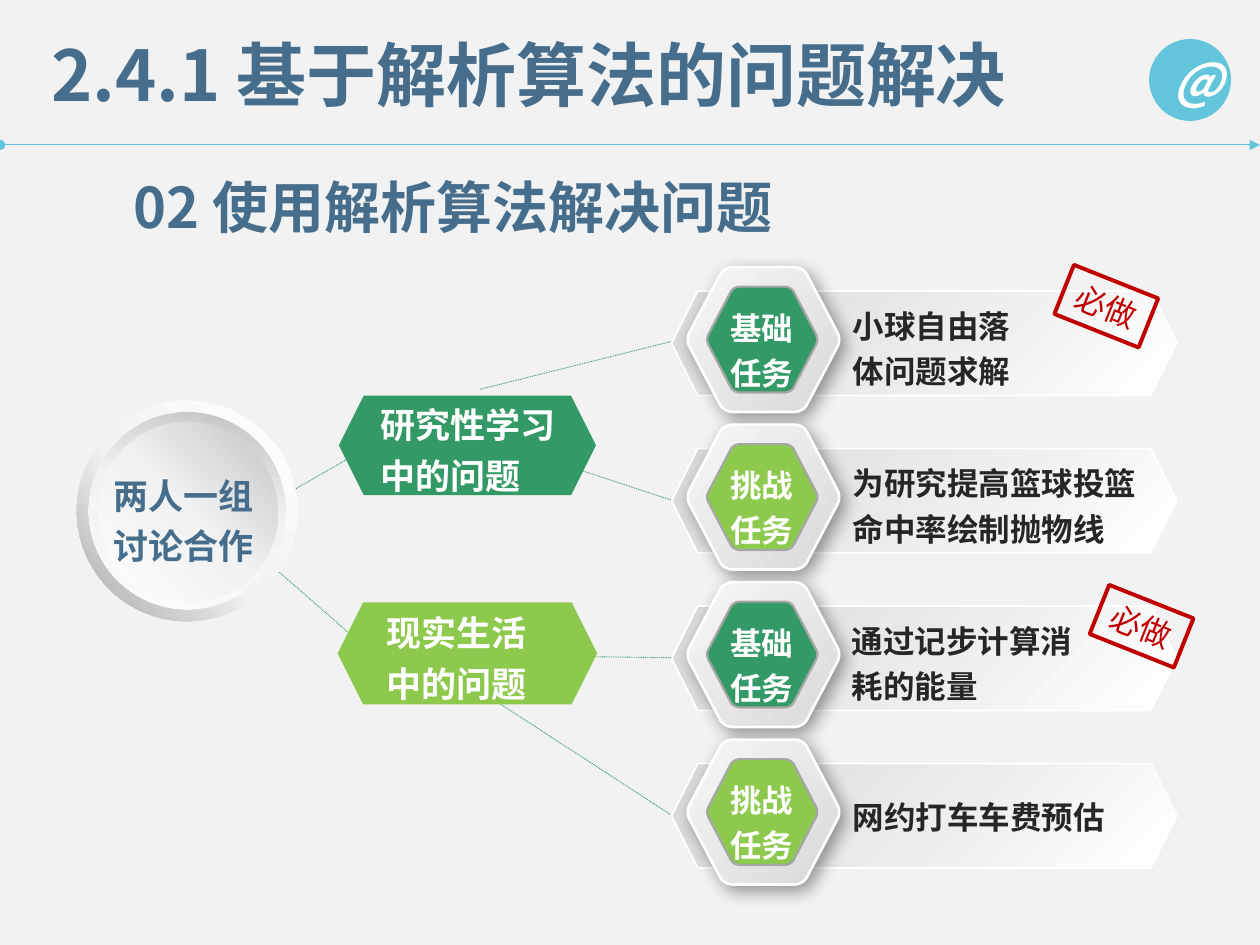
from dataclasses import dataclass

from lxml import etree
from pptx import Presentation, util as u
from pptx.dml.color import RGBColor
from pptx.enum import dml, shapes, text
from pptx.oxml import ns


@dataclass(frozen=True)
class Theme:
    page: str = "F2F2F2"
    sky: str = "62C5DC"
    slate: str = "466E8C"
    green: str = "339966"
    lime: str = "8CC94C"
    ink: str = "262626"
    white: str = "FFFFFF"
    rim: str = "A6A6A6"
    stamp: str = "C00000"
    font: str = "Noto Sans CJK SC"
    stamp_font: str = "Calibri"
    title: int = 40
    subtitle: int = 32
    icon: int = 28
    group: int = 20
    label: int = 18


T = Theme()
SHAPE = shapes.MSO_SHAPE
ALIGN = text.PP_ALIGN
ANCHOR = text.MSO_ANCHOR
ROW_TOP, ROW_STEP, BAR_H = 2.31, 1.25, 0.83
RING = ((0, "FFFFFF"), (55, "F2F2F2"), (100, "A6A6A6"))
DISC = ((0, "FFFFFF"), (51, "F2F2F2"), (100, "BFBFBF"))
BAR = ((0, "FFFFFF"), (100, "D9D9D9"))
BADGE = ((0, "F7F7F7"), (100, "D9D9D9"))


def rgb(value):
    return RGBColor.from_string(value)


def apply(target, values):
    for name, value in values.items():
        setattr(target, name, value)


def child(parent, tag, **attrs):
    return etree.SubElement(parent, ns.qn("a:" + tag), {k: str(v) for k, v in attrs.items()})


def gradient(sp, stops, angle):
    sp.fill.gradient()
    grad = sp._element.spPr.find(ns.qn("a:gradFill"))
    grad.set("rotWithShape", "1")
    for old in list(grad):
        grad.remove(old)
    gs_list = child(grad, "gsLst")
    for pos, color in stops:
        child(child(gs_list, "gs", pos=pos * 1000), "srgbClr", val=color)
    child(grad, "lin", ang=angle * 60000, scaled=0)


def paint(sp, fill=None, line=None, width=1.0):
    """Fill with a colour, with (stops, angle), or not at all; then outline."""
    sp.shadow.inherit = False
    if fill is None:
        sp.fill.background()
    elif isinstance(fill, str):
        sp.fill.solid()
        sp.fill.fore_color.rgb = rgb(fill)
    else:
        gradient(sp, *fill)
    if line:
        sp.line.color.rgb = rgb(line)
        sp.line.width = u.Pt(width)
    else:
        sp.line.fill.background()


def write(sp, lines, size, color, align=ALIGN.LEFT, spacing=1.0, bold=True,
          italic=False, font=T.font, **frame):
    tf = sp.text_frame
    apply(tf, {"word_wrap": True, "vertical_anchor": ANCHOR.TOP, **frame})
    for i, line in enumerate(lines):
        p = tf.add_paragraph() if i else tf.paragraphs[0]
        apply(p, {"alignment": align, "line_spacing": spacing})
        r = p.add_run()
        r.text = line
        apply(r.font, {"name": font, "size": u.Pt(size), "bold": bold, "italic": italic})
        r.font.color.rgb = rgb(color)
        child(r._r.get_or_add_rPr(), "ea", typeface=font)


def add_shape(s, kind, box, fill=None, line=None, width=1.0, adj=None, turn=0):
    sp = s.shapes.add_shape(kind, *map(u.Inches, box))
    if adj is not None:
        sp.adjustments[0] = adj
    sp.rotation = turn
    paint(sp, fill, line, width)
    return sp


def add_text(s, box, lines, size, color, **fmt):
    sp = s.shapes.add_textbox(*map(u.Inches, box))
    write(sp, lines, size, color, **fmt)


def add_line(s, start, end, color):
    c = s.shapes.add_connector(shapes.MSO_CONNECTOR.STRAIGHT, *map(u.Inches, start + end))
    c.line.color.rgb = rgb(color)
    c.line.width = u.Pt(0.5)
    child(c._element.spPr, "effectLst")
    return c


def bezier(points, steps=6):
    for i in range(steps + 1):
        t = i / steps
        weights = ((1 - t) ** 3, 3 * t * (1 - t) ** 2, 3 * t * t * (1 - t), t ** 3)
        yield tuple(sum(w * p[k] for w, p in zip(weights, points)) for k in (0, 1))


def rounded_hexagon(s, cx, cy, w, h):
    corner = list(bezier(((0.4, -1), (0.47, -1), (0.54, -0.96), (0.57, -0.9))))
    tip = list(bezier(((0.97, -0.1), (1, -0.05), (1, 0.05), (0.97, 0.1))))
    right = corner + tip + [(x, -y) for x, y in reversed(corner)]
    outline = right + [(-x, -y) for x, y in right]
    points = [(u.Inches(cx + x * w / 2), u.Inches(cy + y * h / 2)) for x, y in outline]
    builder = s.shapes.build_freeform(*points[0])
    builder.add_line_segments(points[1:], close=True)
    return builder.convert_to_shape()


def add_shadow(sp):
    effects = sp._element.spPr.find(ns.qn("a:effectLst"))
    shadow = child(effects, "outerShdw", blurRad=u.Pt(10), dist=u.Pt(4),
                   dir=45 * 60000, algn="tl", rotWithShape=0)
    child(child(shadow, "srgbClr", val="000000"), "alpha", val=40000)


def add_task(s, row, level, color, left, width, label, spacing):
    top = ROW_TOP + row * ROW_STEP
    cy = top + BAR_H / 2 - 0.03
    add_shape(s, SHAPE.HEXAGON, (5.33, top, 4.01, BAR_H), (BAR, 225), T.white)
    outer = rounded_hexagon(s, 6.06, cy, 1.21, 1.15)
    paint(outer, (BADGE, 45), T.white, 1.5)
    add_shadow(outer)
    paint(rounded_hexagon(s, 6.05, cy, 0.88, 0.84), color, T.rim, 1.25)
    add_text(s, (5.69, top + 0.03, 0.71, 0.83), (level, "任务"), T.label, T.white,
             align=ALIGN.CENTER, spacing=1.2, word_wrap=False)
    sp = add_shape(s, SHAPE.RECTANGLE, (left, top + 0.13, width, 0.59))
    side, edge = u.Inches(0.07), u.Inches(0.04)
    write(sp, (label,), T.label, T.ink, spacing=spacing, vertical_anchor=ANCHOR.MIDDLE,
          margin_left=side, margin_right=side, margin_top=edge, margin_bottom=edge)


def add_stamp(s, left, top):
    sp = add_shape(s, SHAPE.RECTANGLE, (left, top, 0.72, 0.42), None, T.stamp, 2.25, turn=21.7)
    write(sp, ("必做",), T.label, T.stamp, align=ALIGN.CENTER, bold=False,
          font=T.stamp_font, vertical_anchor=ANCHOR.MIDDLE)


def add_header(s):
    rule = add_line(s, (0, 1.15), (10, 1.15), T.sky)
    ln = rule.line._get_or_add_ln()
    child(ln, "headEnd", type="oval")
    child(ln, "tailEnd", type="triangle")
    icon = add_shape(s, SHAPE.OVAL, (9.12, 0.31, 0.65, 0.65), T.sky)
    write(icon, ("@",), T.icon, T.white, align=ALIGN.CENTER, italic=True,
          vertical_anchor=ANCHOR.MIDDLE)
    title = s.shapes.title
    apply(title, dict(zip(("left", "top", "width", "height"),
                          map(u.Inches, (0.31, 0.2, 8.36, 0.77)))))
    write(title, ("2.4.1 基于解析算法的问题解决",), T.title, T.slate)
    add_text(s, (0.96, 1.32, 5.39, 0.64), ("02 使用解析算法解决问题",),
             T.subtitle, T.slate, word_wrap=False)


def add_hub(s):
    add_shape(s, SHAPE.DONUT, (0.61, 3.22, 1.67, 1.67), (RING, 135), adj=0.05)
    add_shape(s, SHAPE.OVAL, (0.65, 3.26, 1.59, 1.59), (DISC, 315))
    add_shape(s, SHAPE.DONUT, (0.7, 3.26, 1.59, 1.61), (RING, 135), adj=0.05, turn=150)
    add_shape(s, SHAPE.DONUT, (0.61, 3.18, 1.75, 1.75), (RING, 135), adj=0.05)
    add_text(s, (0.72, 3.65, 1.47, 0.91), ("两人一组", "讨论合作"), T.group, T.slate,
             align=ALIGN.CENTER, spacing=1.2)


def main():
    prs = Presentation()
    prs.slide_width, prs.slide_height = u.Inches(10), u.Inches(7.5)
    s = prs.slides.add_slide(prs.slide_layouts[5])
    s.background.fill.solid()
    s.background.fill.fore_color.rgb = rgb(T.page)
    add_header(s)
    for start, end in (((2.09, 4.43), (2.97, 5.2)), ((2.19, 3.97), (2.92, 3.55)),
                       ((3.81, 3.09), (5.33, 2.71)), ((3.96, 5.58), (5.33, 6.47)),
                       ((4.51, 5.21), (5.33, 5.22)), ((4.51, 3.7), (5.33, 3.97))):
        add_line(s, start, end, T.green).line.dash_style = dml.MSO_LINE.ROUND_DOT
    add_hub(s)
    for row, task in enumerate((("基础", T.green, 6.7, 1.6, "小球自由落体问题求解", 1.2),
                                ("挑战", T.lime, 6.7, 2.5, "为研究提高篮球投篮命中率绘制抛物线", 1.2),
                                ("基础", T.green, 6.69, 2.03, "通过记步计算消耗的能量", 1.2),
                                ("挑战", T.lime, 6.7, 2.5, "网约打车车费预估", 1.0))):
        add_task(s, row, *task)
    for box, color, text_box, label in (
            ((2.69, 3.14, 2.04, 0.79), T.green, (2.92, 3.09, 1.78, 0.91), "研究性学习中的问题"),
            ((2.68, 4.78, 2.06, 0.81), T.lime, (2.97, 4.74, 1.52, 0.91), "现实生活中的问题")):
        add_shape(s, SHAPE.HEXAGON, box, color)
        add_text(s, text_box, (label,), T.group, T.white, spacing=1.2)
    add_stamp(s, 8.42, 2.22)
    add_stamp(s, 8.7, 4.76)
    prs.save("out.pptx")


if __name__ == "__main__":
    main()
